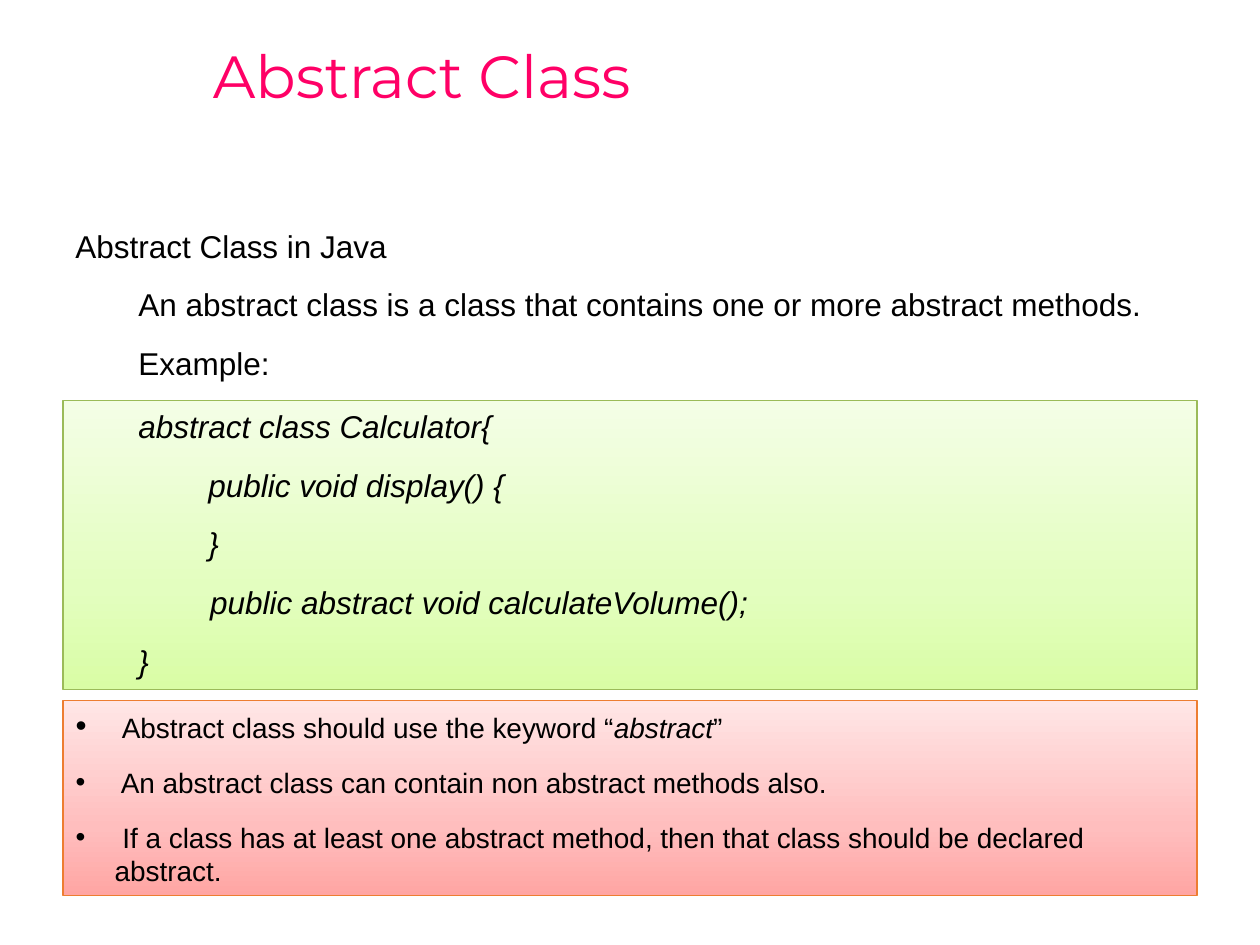
import copy

import lxml.etree
import pptx
import pptx.dml.color
import pptx.enum.shapes
import pptx.enum.text
import pptx.oxml.ns
import pptx.util

Inches = pptx.util.Inches
Pt = pptx.util.Pt
RGBColor = pptx.dml.color.RGBColor
qn = pptx.oxml.ns.qn

PINK = RGBColor(0xFF, 0x00, 0x66)
BLACK = RGBColor(0x00, 0x00, 0x00)
GREEN_LINE = RGBColor(0x9B, 0xBB, 0x59)
GREENS = (RGBColor(0xD9, 0xFD, 0xA5), RGBColor(0xE3, 0xFE, 0xBF), RGBColor(0xF4, 0xFE, 0xE6))
ORANGE_LINE = RGBColor(0xED, 0x7D, 0x31)
REDS = (RGBColor(0xFF, 0xA5, 0xA3), RGBColor(0xFF, 0xBE, 0xBE), RGBColor(0xFF, 0xE6, 0xE6))

LEFT, WIDTH = 0.5, 9
LEVEL_INDENT = 0.5
BULLET_INDENT = 0.31

INTRODUCTION = (
    (0, "Abstract Class in Java"),
    (1, "An abstract class is a class that contains one or more abstract methods."),
    (1, "Example:"),
)
CODE = (
    (1, "abstract class Calculator{"),
    (1, "        public void display() {"),
    (1, "        }"),
    (2, " public abstract void calculateVolume();"),
    (1, "}"),
)
RULES = (
    (" ", "Abstract class should use the keyword “", "abstract", "”"),
    (" An abstract class can contain non abstract methods also.",),
    (" If a class has at least one abstract method, then that class should be declared abstract.",),
)


class SlideBuilder:
    font_name = "Arial"
    text_size = 18
    list_size = 16
    space_before = 12

    def __init__(self, presentation):
        self.slide = presentation.slides.add_slide(presentation.slide_layouts[1])

    def place(self, shape, left, top, width, height):
        shape.left, shape.top = Inches(left), Inches(top)
        shape.width, shape.height = Inches(width), Inches(height)

    def format_run(self, run, size, name=font_name, color=BLACK, italic=False):
        run.font.size = Pt(size)
        run.font.name = name
        run.font.color.rgb = color
        run.font.italic = italic

    def prepare_frame(self, shape):
        frame = shape.text_frame
        frame.word_wrap = True
        frame.auto_size = pptx.enum.text.MSO_AUTO_SIZE.NONE
        frame.vertical_anchor = pptx.enum.text.MSO_ANCHOR.TOP
        return frame

    def format_paragraph(self, paragraph, margin, first_line, is_first):
        paragraph.alignment = pptx.enum.text.PP_ALIGN.LEFT
        paragraph.space_before = Pt(0 if is_first else self.space_before)
        properties = paragraph._p.get_or_add_pPr()
        properties.set("marL", str(Inches(margin)))
        properties.set("indent", str(Inches(first_line)))
        return properties

    def paint(self, shape, colors, line_color):
        shape.shadow.inherit = False
        shape.fill.gradient()
        shape.fill.gradient_angle = 90
        stop_list = shape._element.spPr.find(".//" + qn("a:gsLst"))
        stop_list.insert(1, copy.deepcopy(stop_list[0]))
        for stop, position, color in zip(shape.fill.gradient_stops, (0, 0.35, 1), colors):
            stop.position = position
            stop.color.rgb = color
        shape.line.color.rgb = line_color
        shape.line.width = Pt(0.75)

    def add_title(self, text):
        title = self.slide.shapes.title
        self.place(title, 1.59, 0.01, 8.41, 1.24)
        title.text_frame.text = text
        title.text_frame.vertical_anchor = pptx.enum.text.MSO_ANCHOR.MIDDLE
        paragraph = title.text_frame.paragraphs[0]
        paragraph.alignment = pptx.enum.text.PP_ALIGN.LEFT
        paragraph.line_spacing = 0.9
        self.format_run(paragraph.runs[0], 34, "Montserrat", PINK)

    def write_lines(self, shape, lines, italic=False):
        frame = self.prepare_frame(shape)
        frame.text = "\n".join(text for level, text in lines)
        for index, (paragraph, (level, text)) in enumerate(zip(frame.paragraphs, lines)):
            paragraph.level = level
            self.format_paragraph(paragraph, level * LEVEL_INDENT, 0, index == 0)
            self.format_run(paragraph.runs[0], self.text_size, italic=italic)

    def add_text(self, lines, top, height):
        box = self.slide.shapes.add_textbox(
            Inches(LEFT), Inches(top), Inches(WIDTH), Inches(height))
        self.write_lines(box, lines)

    def add_code_panel(self, lines, top, height):
        panel = self.slide.shapes.add_shape(
            pptx.enum.shapes.MSO_SHAPE.RECTANGLE,
            Inches(LEFT), Inches(top), Inches(WIDTH), Inches(height))
        self.paint(panel, GREENS, GREEN_LINE)
        self.write_lines(panel, lines, italic=True)

    def add_list_panel(self, items, top, height):
        body = self.slide.placeholders[1]
        self.place(body, LEFT, top, WIDTH, height)
        self.paint(body, REDS, ORANGE_LINE)
        frame = self.prepare_frame(body)
        for index, parts in enumerate(items):
            paragraph = frame.add_paragraph() if index else frame.paragraphs[0]
            properties = self.format_paragraph(
                paragraph, BULLET_INDENT, -BULLET_INDENT, index == 0)
            bullet_font = lxml.etree.SubElement(properties, qn("a:buFont"))
            bullet_font.set("typeface", self.font_name)
            bullet = lxml.etree.SubElement(properties, qn("a:buChar"))
            bullet.set("char", "•")
            for part in parts:
                run = paragraph.add_run()
                run.text = part
                if part == " ":
                    self.format_run(run, self.text_size, "Calibri")
                else:
                    self.format_run(run, self.list_size, italic=part == "abstract")


def main():
    presentation = pptx.Presentation()
    presentation.slide_width = Inches(10)
    presentation.slide_height = Inches(7.5)
    builder = SlideBuilder(presentation)
    builder.add_title("Abstract Class")
    builder.add_text(INTRODUCTION, 1.75, 1.35)
    builder.add_code_panel(CODE, 3.18, 2.29)
    builder.add_list_panel(RULES, 5.56, 1.55)
    presentation.save("out.pptx")


if __name__ == "__main__":
    main()
